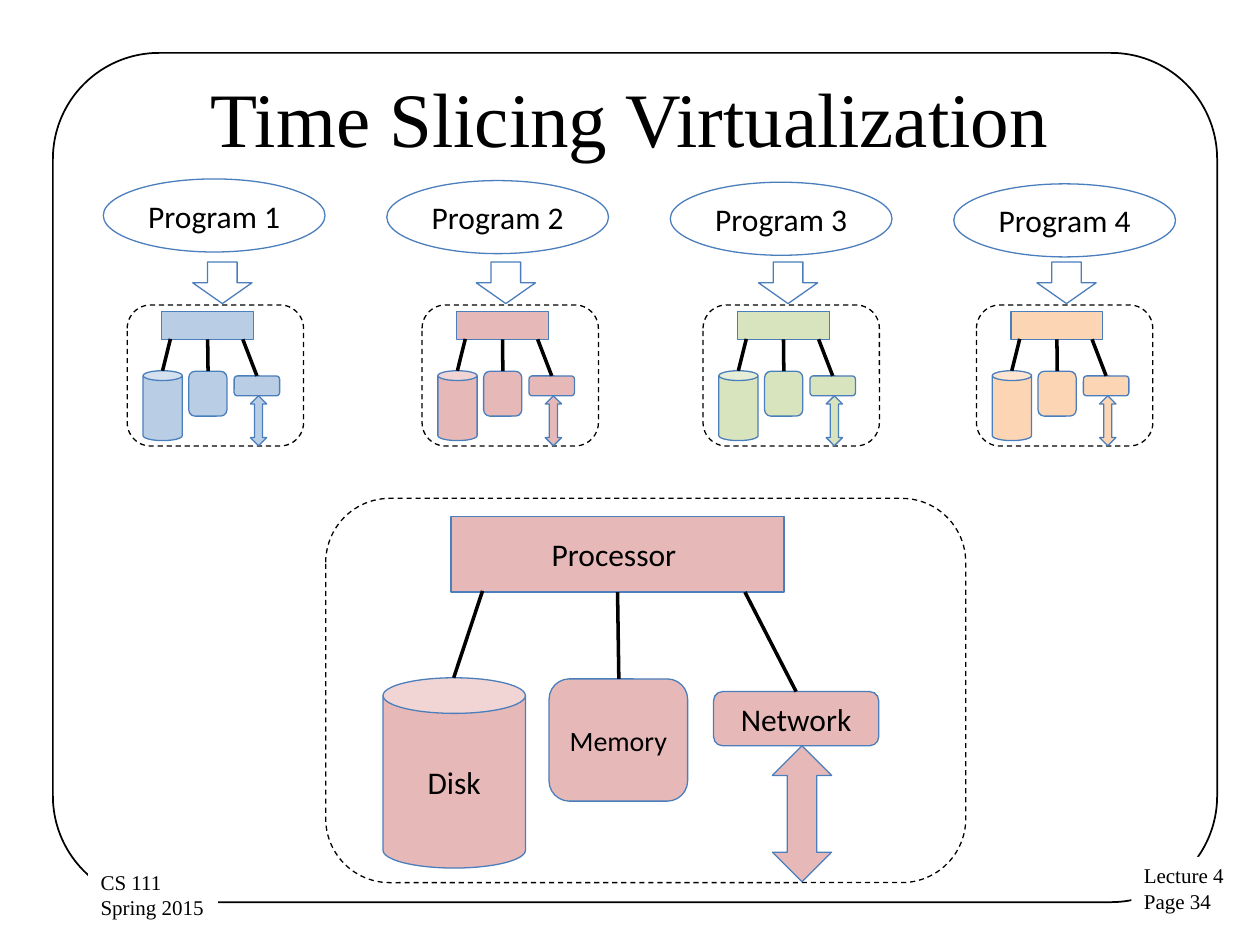
from dataclasses import dataclass
from lxml.etree import SubElement
from pptx import Presentation
from pptx.dml.color import RGBColor
from pptx.enum.dml import MSO_LINE
from pptx.enum.shapes import MSO_CONNECTOR, MSO_SHAPE as S
from pptx.enum.text import MSO_ANCHOR as ANCHOR, PP_ALIGN as ALIGN
from pptx.oxml.ns import qn
from pptx.util import Inches, Pt


@dataclass(frozen=True)
class Theme:
    """Colours, fonts and type sizes."""
    ink: str = "000000"
    paper: str = "FFFFFF"
    edge: str = "4B7EBC"
    machines: tuple = ("B9CDE5", "E6B9B8", "D7E4BD", "FCD5B5")
    serif: str = "Times New Roman"
    sans: str = "Calibri"
    title: int = 44
    label: int = 18
    small: int = 16
    footer: int = 12
    thin: float = 0.75
    border: float = 1
    thick: float = 2


THEME = Theme()
COLS, ROWS = 100, 75  # square cells of 0.1 inch

# Machine parts in percent of their frame: shape, left, top, width, height, label, size
PARTS = (
    (S.RECTANGLE, 19.6, 4.75, 52, 19.67, "Processor ", THEME.label),
    (S.ROUNDED_RECTANGLE, 34.9, 47, 21.65, 31.8, "Memory ", THEME.small),
    (S.CAN, 8.95, 46.7, 22.25, 49.5, "Disk", THEME.label),
    (S.ROUNDED_RECTANGLE, 60.6, 50.3, 25.8, 14.1, "Network", THEME.label),
    (S.UP_DOWN_ARROW, 69.8, 64.4, 9.25, 35.4, "", THEME.label),
)
# Links in percent of the frame: x1, y1, x2, y2
LINKS = (
    (45.6, 24.4, 45.8, 47),
    (24.5, 24.1, 20, 46.7),
    (65.5, 24.4, 73.5, 50.3),
)


def write(sp, text, font=THEME.sans, size=THEME.label, color=THEME.ink,
          align=ALIGN.CENTER, anchor=ANCHOR.MIDDLE, wrap=True):
    """Put text into a shape, one paragraph a line."""
    tf = sp.text_frame
    tf.word_wrap, tf.vertical_anchor = wrap, anchor
    for i, line in enumerate(text.split("\n")):
        p = tf.add_paragraph() if i else tf.paragraphs[0]
        p.alignment = align
        r = p.add_run()
        r.text = line
        r.font.name, r.font.size = font, Pt(size)
        r.font.color.rgb = RGBColor.from_string(color)


class Board:
    """Draws elements on one slide, placed by grid columns and rows."""

    def __init__(self, prs, theme):
        """Add a blank slide."""
        self.theme = theme
        self.cell = prs.slide_width / COLS
        self.s = prs.slides.add_slide(prs.slide_layouts[6])

    def at(self, *cells):
        """Turn grid cells into slide lengths."""
        return [round(c * self.cell) for c in cells]

    def shape(self, kind, box, fill=None, line=None, width=THEME.thin, dash=False):
        """Add a preset shape."""
        sp = self.s.shapes.add_shape(kind, *self.at(*box))
        sp.shadow.inherit = False
        if fill:
            sp.fill.solid()
            sp.fill.fore_color.rgb = RGBColor.from_string(fill)
        else:
            sp.fill.background()
        if line:
            sp.line.color.rgb = RGBColor.from_string(line)
            sp.line.width = Pt(width)
        else:
            sp.line.fill.background()
        if dash:
            sp.line.dash_style = MSO_LINE.DASH
        return sp

    def link(self, *ends):
        """Add a thick straight line."""
        cx = self.s.shapes.add_connector(MSO_CONNECTOR.STRAIGHT, *self.at(*ends))
        cx.line.color.rgb = RGBColor.from_string(self.theme.ink)
        cx.line.width = Pt(self.theme.thick)
        SubElement(cx._element.spPr, qn("a:effectLst"))

    def title(self, text, box):
        """Add the slide title."""
        sp = self.s.shapes.add_textbox(*self.at(*box))
        write(sp, text, font=self.theme.serif, size=self.theme.title)

    def footer(self, text, box):
        """Add a footer that masks the border behind it."""
        sp = self.shape(S.RECTANGLE, box, fill=self.theme.paper)
        write(sp, text, font=self.theme.serif, size=self.theme.footer,
              align=ALIGN.LEFT, anchor=ANCHOR.TOP, wrap=False)

    def machine(self, frame, color, labels=False):
        """Add a machine, its parts scaled to its dashed frame."""
        left, top, width, height = frame
        sx, sy = width / 100, height / 100
        self.shape(S.ROUNDED_RECTANGLE, frame, line=self.theme.ink, dash=True)
        for kind, x, y, w, h, label, size in PARTS:
            box = (left + x * sx, top + y * sy, w * sx, h * sy)
            sp = self.shape(kind, box, fill=color, line=self.theme.edge)
            if labels and label:
                write(sp, label, size=size)
        for x1, y1, x2, y2 in LINKS:
            self.link(left + x1 * sx, top + y1 * sy, left + x2 * sx, top + y2 * sy)

    def program(self, name, box, arrow):
        """Add a program bubble and the arrow to its machine."""
        write(self.shape(S.OVAL, box, line=self.theme.edge), name)
        self.shape(S.DOWN_ARROW, arrow, fill=self.theme.paper, line=self.theme.edge)


def main():
    """Build the slide."""
    prs = Presentation()
    prs.slide_width, prs.slide_height = Inches(COLS / 10), Inches(ROWS / 10)
    board = Board(prs, THEME)

    border = board.shape(S.ROUNDED_RECTANGLE, (4.2, 4.2, 92.4, 67.4),
                         line=THEME.ink, width=THEME.border)
    border.adjustments[0] = 0.125
    board.footer("Lecture 4\nPage 34", (89.8, 68, 8.5, 5.1))
    board.footer("CS 111\nSpring 2015 ", (7, 68.5, 10.3, 5.1))
    board.title("Time Slicing Virtualization", (5, 3, 90, 12.5))

    frame_lefts = (10.1, 33.5, 55.8, 77.5)
    arrow_lefts = (15.3, 37.8, 60.2, 82.3)
    columns = zip(frame_lefts, arrow_lefts, THEME.machines)
    for i, (frame_left, arrow_left, color) in enumerate(columns):
        board.program(f"Program {i + 1}", (8.2 + 22.5 * i, 14.2 + 0.13 * i, 17.6, 5.8),
                      (arrow_left, 20.8, 4.7, 3.3))
        board.machine((frame_left, 24.2, 14, 11.2), color)

    board.machine((25.85, 39.55, 50.8, 30.5), THEME.machines[1], labels=True)
    prs.save("out.pptx")


main()
